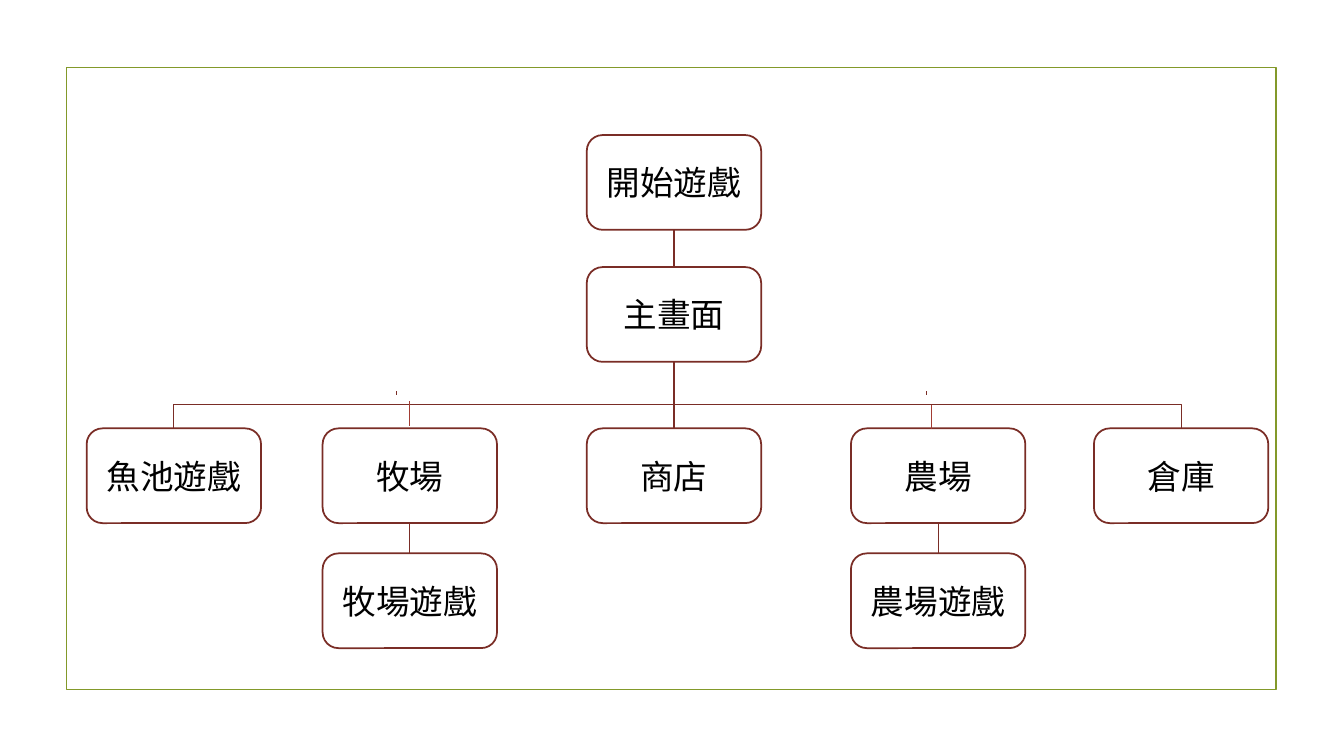
import pptx
import pptx.util
import pptx.dml.color
import pptx.enum.shapes
import pptx.enum.text
from lxml import etree

Inches = pptx.util.Inches
Shape = pptx.enum.shapes.MSO_SHAPE


def color(code):
    return pptx.dml.color.RGBColor.from_string(code)


class Chart:
    font = "Arial"
    size = 24
    ink = "000000"
    paper = "FFFFFF"
    edge = "7A2D26"
    light = "A23C33"
    green = "83992A"
    wide = 1.73
    high = 0.94

    def __init__(self, slide):
        self.slide = slide

    def stroke(self, item, code, width):
        item.line.color.rgb = color(code)
        item.line.width = pptx.util.Pt(width)

    def frame(self, left, top, width, height):
        item = self.slide.shapes.add_shape(
            Shape.RECTANGLE, Inches(left), Inches(top), Inches(width), Inches(height))
        item.shadow.inherit = False
        item.fill.background()
        self.stroke(item, self.green, 1.25)

    def node(self, text, left, top):
        item = self.slide.shapes.add_shape(
            Shape.ROUNDED_RECTANGLE, Inches(left), Inches(top),
            Inches(self.wide), Inches(self.high))
        item.shadow.inherit = False
        item.fill.solid()
        item.fill.fore_color.rgb = color(self.paper)
        self.stroke(item, self.edge, 1.25)
        body = item.text_frame
        body.word_wrap = True
        body.vertical_anchor = pptx.enum.text.MSO_ANCHOR.MIDDLE
        para = body.paragraphs[0]
        para.alignment = pptx.enum.text.PP_ALIGN.CENTER
        run = para.add_run()
        run.text = text
        run.font.name = self.font
        run.font.size = pptx.util.Pt(self.size)
        run.font.color.rgb = color(self.ink)

    def link(self, x, top, end, code=edge):
        item = self.slide.shapes.add_connector(
            pptx.enum.shapes.MSO_CONNECTOR.STRAIGHT,
            Inches(x), Inches(top), Inches(x), Inches(end))
        self.stroke(item, code, 0.75)
        etree.SubElement(item._element.spPr, pptx.oxml.ns.qn("a:effectLst"))

    def branch(self, points):
        first, *rest = [(Inches(x), Inches(y)) for x, y in points]
        form = self.slide.shapes.build_freeform(*first)
        form.add_line_segments(rest, close=False)
        item = form.convert_to_shape()
        item.shadow.inherit = False
        item.fill.background()
        self.stroke(item, self.edge, 0.75)


def main():
    deck = pptx.Presentation()
    deck.slide_width = Inches(13.33)
    deck.slide_height = Inches(7.5)
    chart = Chart(deck.slides.add_slide(deck.slide_layouts[6]))

    pond, ranch, shop, farm, store = 0.86, 3.2, 5.82, 8.44, 10.85
    start, home, places, games = 1.34, 2.65, 4.25, 5.49
    half, high = chart.wide / 2, chart.high

    chart.frame(0.66, 0.67, 12, 6.17)
    for text, left, top in [
        ("開始遊戲", shop, start),
        ("主畫面", shop, home),
        ("商店", shop, places),
        ("農場", farm, places),
        ("倉庫", store, places),
        ("牧場", ranch, places),
        ("魚池遊戲", pond, places),
        ("牧場遊戲", ranch, games),
        ("農場遊戲", farm, games),
    ]:
        chart.node(text, left, top)

    chart.link(shop + half, start + high, home)
    chart.link(shop + half, home + high, places)
    rail = 4.01
    chart.branch([(pond + half, places), (pond + half, rail),
                  (store + half, rail), (store + half, places)])
    for x in (3.93, 9.19):
        chart.link(x, 3.88, 3.92)
    for left in (ranch, farm):
        chart.link(left + half, places + high, games)
    chart.link(ranch + half, 3.98, 4.23, chart.light)
    chart.link(9.24, 4.02, 4.26, chart.light)

    deck.save("out.pptx")


if __name__ == "__main__":
    main()
